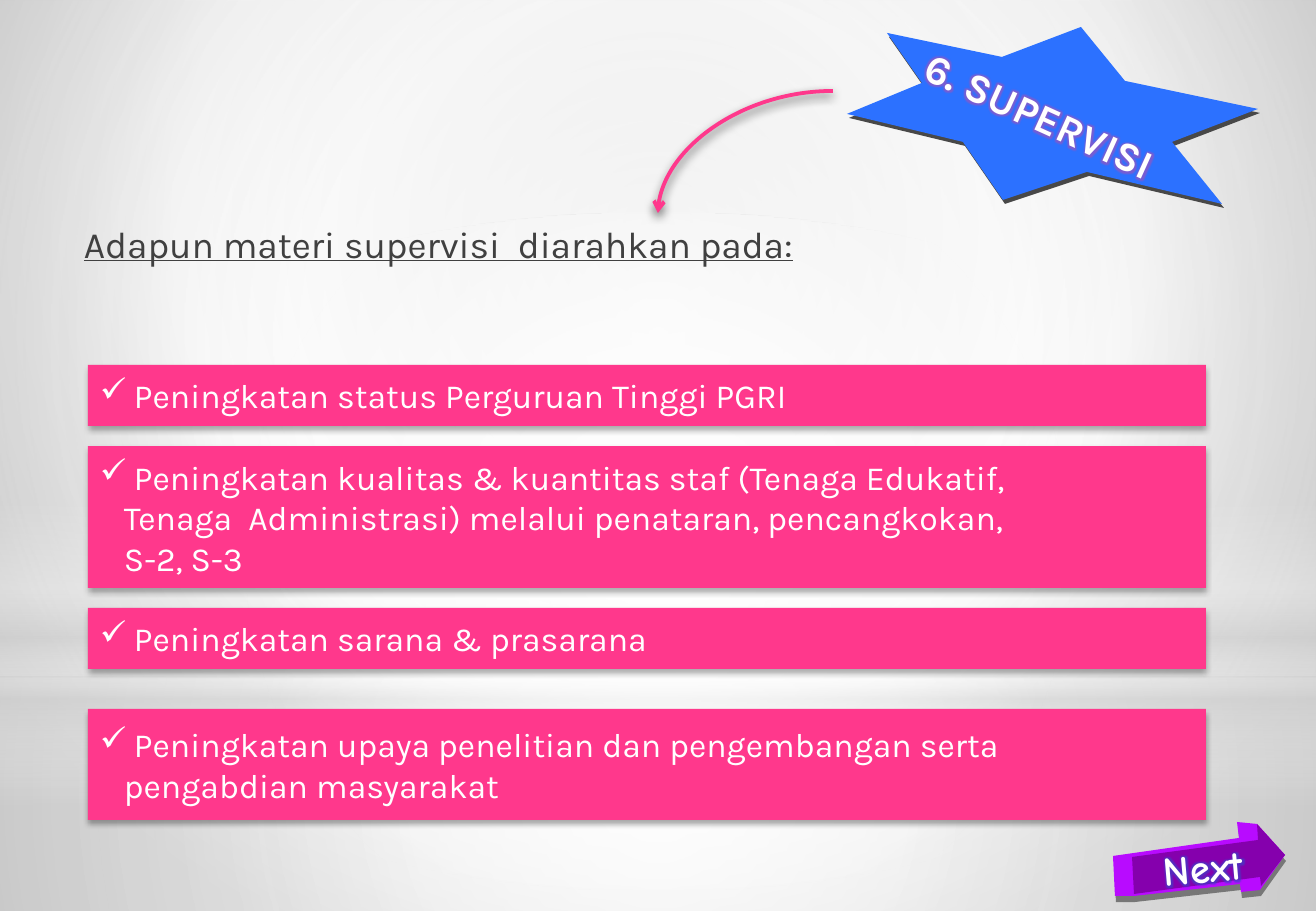
from pptx import Presentation
from pptx.dml.color import RGBColor
from pptx.enum.shapes import MSO_CONNECTOR, MSO_SHAPE
from pptx.enum.text import MSO_ANCHOR, PP_ALIGN
from pptx.oxml import parse_xml
from pptx.oxml.ns import nsdecls, qn
from pptx.util import Pt

PX = 914400 / 121.5
WIDTH, HEIGHT = 1316, 911
COLORS = {
    "white": "FFFFFF", "silver": "D2D2D2", "pale": "CACACA", "grey": "A9A9A9",
    "text": "404040", "black": "000000", "pink": "FF388C", "blue": "2C71FF",
    "edge": "484848", "violet": "B80BFF", "purple": "8500AD", "ash": "777777",
    "star_glow": "9A55C0", "next_glow": "4040C8",
}
CIRCLE = (50, 50, 50, 50)


def emu(px):
    return round(px * PX)


def rgb(name):
    return RGBColor.from_string(COLORS[name])


def color_xml(name, alpha):
    return f'<a:srgbClr val="{COLORS[name]}"><a:alpha val="{alpha * 1000}"/></a:srgbClr>'


class SlideBuilder:
    def __init__(self, prs, font):
        self.slide = prs.slides.add_slide(prs.slide_layouts[6])
        self.shapes = self.slide.shapes
        self.font = font

    def gradient(self, props, stops, focus=None):
        """Replace the solid fill by a circular (focus) or downward gradient."""
        marks = "".join(f'<a:gs pos="{pos * 1000}">{color_xml(name, alpha)}</a:gs>'
                        for pos, name, alpha in stops)
        course = '<a:lin ang="5400000" scaled="0"/>'
        if focus:
            sides = " ".join(f'{side}="{value * 1000}"' for side, value in zip("ltrb", focus))
            course = f'<a:path path="circle"><a:fillToRect {sides}/></a:path>'
        solid = props.find(qn("a:solidFill"))
        props.replace(solid, parse_xml(
            f'<a:gradFill {nsdecls("a")} rotWithShape="1"><a:gsLst>{marks}</a:gsLst>'
            f'{course}</a:gradFill>'))

    def background(self, stops, focus):
        self.slide.background.fill.solid()
        self.gradient(self.slide.element.find(".//" + qn("p:bgPr")), stops, focus)

    def paint(self, shape, color):
        shape.shadow.inherit = False
        shape.fill.solid()
        shape.fill.fore_color.rgb = rgb(color)
        shape.line.fill.background()
        return shape

    def shade(self, shape, alpha, blur, distance):
        props = shape.element.spPr
        for old in props.findall(qn("a:effectLst")):
            props.remove(old)
        props.append(parse_xml(
            f'<a:effectLst {nsdecls("a")}><a:outerShdw blurRad="{Pt(blur)}" '
            f'dist="{Pt(distance)}" dir="5400000" algn="ctr" rotWithShape="0">'
            f'{color_xml("black", alpha)}</a:outerShdw></a:effectLst>'))

    def box(self, x, y, w, h, color, kind=MSO_SHAPE.RECTANGLE):
        shape = self.shapes.add_shape(kind, emu(x), emu(y), emu(w), emu(h))
        return self.paint(shape, color)

    def glaze(self, x, y, w, h, stops, focus=None, kind=MSO_SHAPE.RECTANGLE):
        self.gradient(self.box(x, y, w, h, "white", kind).element.spPr, stops, focus)

    def polygon(self, points, color, dx=0, dy=0):
        first, *rest = [(emu(x + dx), emu(y + dy)) for x, y in points]
        outline = self.shapes.build_freeform(*first)
        outline.add_line_segments(rest, close=True)
        self.paint(outline.convert_to_shape(), color)

    def add_text(self, paragraph, text, size, color="white", font=None):
        run = paragraph.add_run()
        run.text = text
        run.font.size = Pt(size)
        run.font.name = font or self.font
        run.font.color.rgb = rgb(color)
        return run

    def text_box(self, x, y, w, h):
        return self.shapes.add_textbox(emu(x), emu(y), emu(w), emu(h))

    def heading(self, x, y, w, h, text, size):
        frame = self.text_box(x, y, w, h).text_frame
        frame.word_wrap = True
        self.add_text(frame.paragraphs[0], text, size, "text").font.underline = True

    def glow_label(self, x, y, w, h, angle, text, size, glow, font=None):
        label = self.text_box(x, y, w, h)
        label.rotation = angle
        frame = label.text_frame
        frame.word_wrap = False
        frame.vertical_anchor = MSO_ANCHOR.MIDDLE
        paragraph = frame.paragraphs[0]
        paragraph.alignment = PP_ALIGN.CENTER
        self.add_text(paragraph, text, size, font=font).font.bold = True
        fill = label.element.find(".//" + qn("a:rPr")).find(qn("a:solidFill"))
        fill.addnext(parse_xml(
            f'<a:effectLst {nsdecls("a")}><a:glow rad="{Pt(6)}">'
            f'{color_xml(glow, 70)}</a:glow></a:effectLst>'))

    def check_bar(self, x, y, w, h, lines, size):
        bar = self.box(x, y, w, h, "pink")
        self.shade(bar, 32, 3.5, 2.2)
        frame = bar.text_frame
        frame.word_wrap = True
        frame.vertical_anchor = MSO_ANCHOR.MIDDLE
        for index, line in enumerate(lines):
            paragraph = frame.add_paragraph() if index else frame.paragraphs[0]
            paragraph.alignment = PP_ALIGN.LEFT
            self.add_text(paragraph, line, size)
        # The first line carries the tick, the others are indented under it
        for index, props in enumerate(bar.element.iter(qn("a:pPr"))):
            props.set("marL", str(emu(24 if index else 34)))
            props.set("indent", str(0 if index else -emu(34)))
            if not index:
                props.append(parse_xml(f'<a:buChar {nsdecls("a")} char="✓"/>'))

    def curved_arrow(self, x1, y1, x2, y2, color, width):
        arrow = self.shapes.add_connector(MSO_CONNECTOR.CURVE,
                                          emu(x1), emu(y1), emu(x2), emu(y2))
        arrow.line.color.rgb = rgb(color)
        arrow.line.width = Pt(width)
        props = arrow.element.spPr
        props.find(qn("a:prstGeom")).set("prst", "curvedConnector2")
        props.find(qn("a:ln")).append(parse_xml(f'<a:tailEnd {nsdecls("a")} type="arrow"/>'))
        self.shade(arrow, 60, 6, 3)


def main():
    prs = Presentation()
    prs.slide_width, prs.slide_height = emu(WIDTH), emu(HEIGHT)
    page = SlideBuilder(prs, "Karla")

    # Backdrop: soft light over a grey floor
    page.background([(0, "pale", 100), (60, "white", 100), (100, "grey", 100)], (20, 10, 20, 60))
    page.glaze(0, 678, WIDTH, 233,
               [(0, "white", 91), (37, "white", 76), (100, "silver", 79)], CIRCLE)
    page.glaze(0, 0, WIDTH, 678,
               [(0, "white", 89), (48, "white", 62), (100, "silver", 79)], CIRCLE)
    page.glaze(0, 501, WIDTH, 304,
               [(0, "white", 0), (29, "white", 30), (45, "silver", 40),
                (55, "white", 26), (65, "silver", 60), (100, "white", 0)])
    page.glaze(0, 213, WIDTH, 678, [(0, "white", 100), (56, "white", 0)],
               CIRCLE, MSO_SHAPE.OVAL)

    # Heading
    page.heading(72, 215, 1179, 60, "Adapun materi supervisi  diarahkan pada:", 22)

    # Tilted star with the topic
    star = [(887, 33), (1002, 57), (1081, 27), (1125, 81), (1258, 109), (1172, 142),
            (1222, 204), (1087, 172), (1003, 200), (963, 142), (847, 114), (922, 83)]
    page.polygon(star, "edge", 2, 4)
    page.polygon(star, "blue")
    page.glow_label(900, 85, 280, 60, 24.5, "6. SUPERVISI", 24, "star_glow")
    page.curved_arrow(833, 91, 658, 213, "pink", 2.25)

    # Supervision topics
    topics = [
        (365, 61, ["Peningkatan status Perguruan Tinggi PGRI"]),
        (446, 142, ["Peningkatan kualitas & kuantitas staf (Tenaga Edukatif,",
                    "Tenaga  Administrasi) melalui penataran, pencangkokan,",
                    "S-2, S-3"]),
        (608, 61, ["Peningkatan sarana & prasarana"]),
        (709, 111, ["Peningkatan upaya penelitian dan pengembangan serta",
                    "pengabdian masyarakat"]),
    ]
    for top, height, lines in topics:
        page.check_bar(88, top, 1118, height, lines, 20)

    # Solid arrow to the next page
    arrow_body = [(1113, 856), (1239, 838), (1237, 822), (1257, 824), (1285, 855),
                  (1260, 890), (1241, 892), (1240, 884), (1134, 896), (1115, 896)]
    arrow_front = [(1132, 857), (1258, 840), (1257, 824), (1285, 855),
                   (1261, 886), (1260, 877), (1134, 894)]
    page.polygon(arrow_body, "ash", 1, 6)
    page.polygon(arrow_body, "violet")
    page.polygon(arrow_front, "purple")
    page.glow_label(1143, 837, 120, 60, -5, "Next", 24, "next_glow", "Comic Neue")

    prs.save("out.pptx")


if __name__ == "__main__":
    main()
